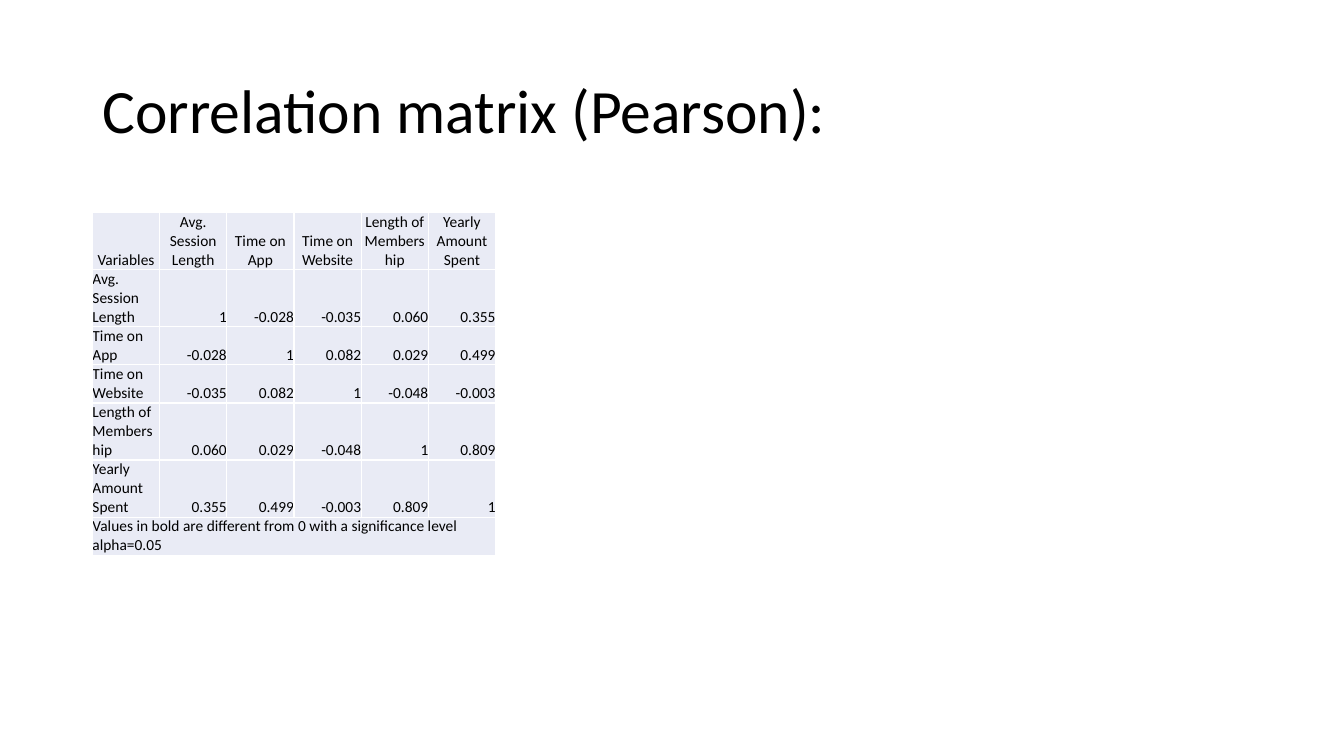
from dataclasses import dataclass

from lxml.etree import SubElement
from pptx import Presentation
from pptx.dml.color import RGBColor
from pptx.enum.text import MSO_ANCHOR as Anchor, MSO_AUTO_SIZE as AutoSize, PP_ALIGN as Align
from pptx.oxml.ns import qn
from pptx.util import Cm, Pt


@dataclass(frozen=True)
class Theme:
    font: str = "Calibri"
    ink: str = "000000"
    cell: str = "E9EBF5"
    border: str = "FFFFFF"
    title_size: int = 44
    table_size: int = 11


theme = Theme()
variables = [
    "Avg. Session Length",
    "Time on App",
    "Time on Website",
    "Length of Membership",
    "Yearly Amount Spent",
]
correlations = [
    ["1", "-0.028", "-0.035", "0.060", "0.355"],
    ["-0.028", "1", "0.082", "0.029", "0.499"],
    ["-0.035", "0.082", "1", "-0.048", "-0.003"],
    ["0.060", "0.029", "-0.048", "1", "0.809"],
    ["0.355", "0.499", "-0.003", "0.809", "1"],
]
note = "Values in bold are different from 0 with a significance level alpha=0.05"


def write(frame, text, size, align):
    para = frame.paragraphs[0]
    para.alignment = align
    span = para.add_run()
    span.text = text
    for name, value in {"name": theme.font, "size": Pt(size), "bold": False}.items():
        setattr(span.font, name, value)
    span.font.color.rgb = RGBColor.from_string(theme.ink)
    return para


def style_cell(cell):
    cell_format = {
        "margin_left": 0,
        "margin_right": 0,
        "margin_top": 0,
        "margin_bottom": 0,
        "vertical_anchor": Anchor.BOTTOM,
    }
    for name, value in cell_format.items():
        setattr(cell, name, value)
    properties = cell._tc.get_or_add_tcPr()
    for edge in ("a:lnL", "a:lnR", "a:lnT", "a:lnB"):
        line = SubElement(properties, qn(edge), w=str(Pt(1)))
        SubElement(SubElement(line, qn("a:solidFill")), qn("a:srgbClr"), val=theme.border)
    cell.fill.solid()
    cell.fill.fore_color.rgb = RGBColor.from_string(theme.cell)


deck = Presentation()
deck.slide_width, deck.slide_height = Cm(33.87), Cm(19.05)
page = deck.slides.add_slide(deck.slide_layouts[5])

title = page.shapes.title
title_box = {"left": Cm(2.33), "top": Cm(1.01), "width": Cm(29.21), "height": Cm(3.68)}
for name, value in title_box.items():
    setattr(title, name, value)
title_format = {"vertical_anchor": Anchor.MIDDLE, "word_wrap": True, "auto_size": AutoSize.NONE}
for name, value in title_format.items():
    setattr(title.text_frame, name, value)
heading = write(title.text_frame, "Correlation matrix (Pearson):", theme.title_size, Align.LEFT)
heading.line_spacing = 0.9

rows = [["Variables", *variables]]
rows += [[label, *values] for label, values in zip(variables, correlations)]
column_count = len(rows[0])
row_height = Cm(0.53)
matrix = page.shapes.add_table(
    len(rows) + 1, column_count, Cm(2.33), Cm(5.36), Cm(10.16), row_height * (len(rows) + 1)
).table
matrix.first_row = matrix.horz_banding = False

for row_index, row in enumerate(rows):
    for column_index, text in enumerate(row):
        cell = matrix.cell(row_index, column_index)
        style_cell(cell)
        if row_index == 0:
            align = Align.CENTER
        else:
            align = Align.RIGHT if column_index else Align.LEFT
        write(cell.text_frame, text, theme.table_size, align)

note_cell = matrix.cell(len(rows), 0)
note_cell.merge(matrix.cell(len(rows), column_count - 1))
style_cell(note_cell)
write(note_cell.text_frame, note, theme.table_size, Align.LEFT)

deck.save("out.pptx")
